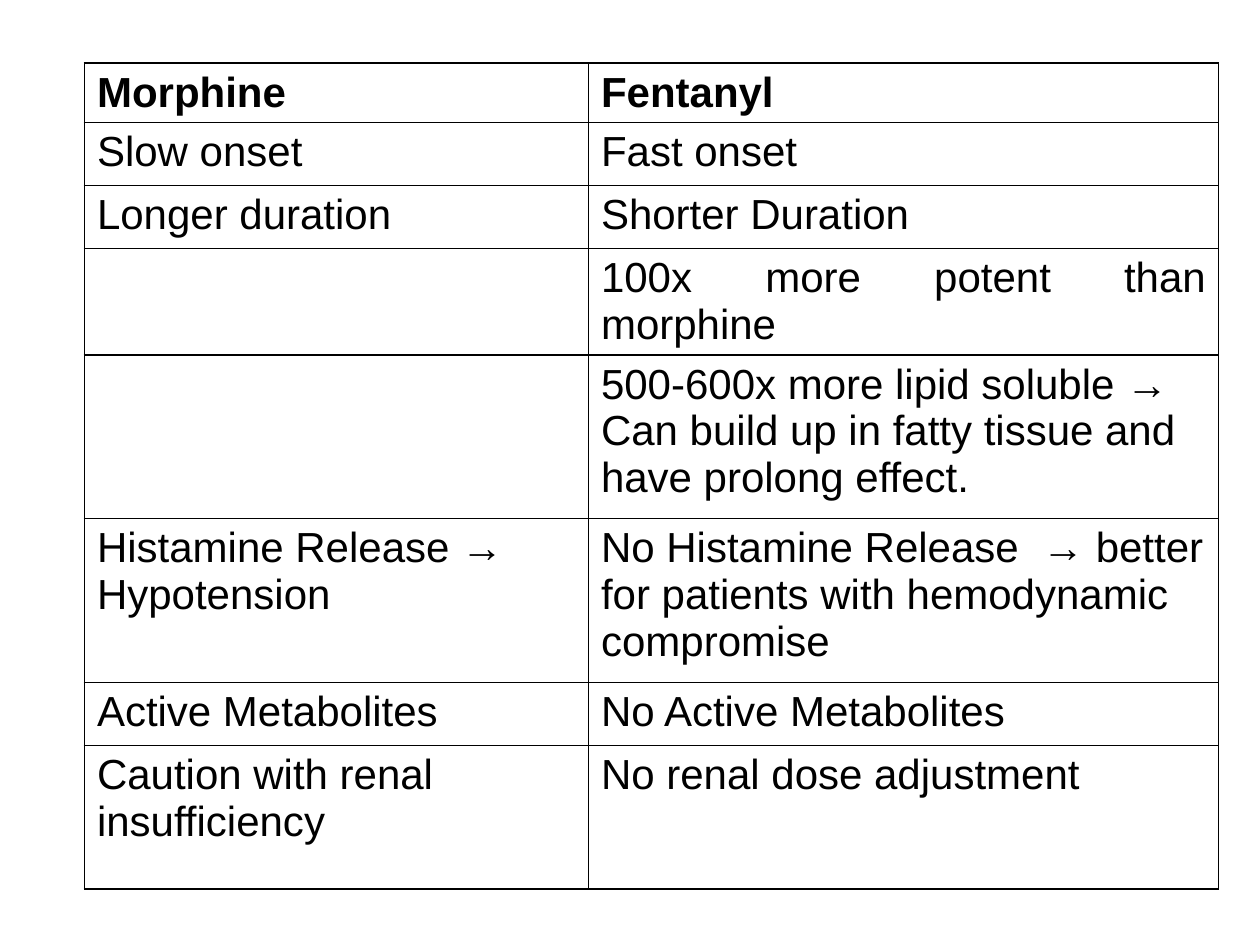
from lxml import etree
from pptx import Presentation
from pptx.dml.color import RGBColor
from pptx.enum import text
from pptx.oxml.ns import qn
from pptx.util import Inches, Pt

COLORS = {"ink": "000000", "paper": "FFFFFF"}
FONT = {"name": "Arial", "size": Pt(24)}
COL_WIDTHS = [4, 5]
ROW_HEIGHTS = [0.25, 0.5, 0.5, 0.5, 1.3, 1.3, 0.5, 1.14]
JUSTIFIED = (3, 1)
ROWS = [
    ("Morphine", "Fentanyl"),
    ("Slow onset", "Fast onset"),
    ("Longer duration", "Shorter Duration"),
    ("", "100x more potent than morphine"),
    ("", "500-600x more lipid soluble → Can build up in fatty tissue "
         "and have prolong effect."),
    ("Histamine Release → Hypotension",
     "No Histamine Release  → better for patients with hemodynamic compromise"),
    ("Active Metabolites", "No Active Metabolites"),
    ("Caution with renal insufficiency", "No renal dose adjustment"),
]


def set_borders(cell, color, width):
    tcPr = cell._tc.get_or_add_tcPr()
    for i, side in enumerate(("lnL", "lnR", "lnT", "lnB")):
        ln = etree.Element(qn(f"a:{side}"), w=str(width))
        fill = etree.SubElement(ln, qn("a:solidFill"))
        etree.SubElement(fill, qn("a:srgbClr"), val=color)
        tcPr.insert(i, ln)  # borders come before the cell fill


def format_cell(cell, value, bold, justified):
    cell.fill.solid()
    cell.fill.fore_color.rgb = RGBColor.from_string(COLORS["paper"])
    set_borders(cell, COLORS["ink"], Pt(1))
    p = cell.text_frame.paragraphs[0]
    if justified:
        p.alignment = text.PP_ALIGN.JUSTIFY
    if value:
        r = p.add_run()
        r.text = value
        for name, setting in {**FONT, "bold": bold}.items():
            setattr(r.font, name, setting)
        r.font.color.rgb = RGBColor.from_string(COLORS["ink"])


def add_drug_table(s, left, top, width, height):
    frame = s.shapes.add_table(len(ROWS), len(COL_WIDTHS), left, top, width, height)
    table = frame.table
    table.horz_banding = False
    for column, w in zip(table.columns, COL_WIDTHS):
        column.width = Inches(w)
    for row, h in zip(table.rows, ROW_HEIGHTS):
        row.height = Inches(h)
    for i, values in enumerate(ROWS):
        for j, value in enumerate(values):
            format_cell(table.cell(i, j), value, i == 0, (i, j) == JUSTIFIED)


def main():
    prs = Presentation()
    prs.slide_width, prs.slide_height = Inches(10), Inches(7.5)
    s = prs.slides.add_slide(prs.slide_layouts[6])
    # Comparison of the two opioids
    add_drug_table(s, Inches(0.67), Inches(0.5), Inches(9), Inches(6.64))
    prs.save("out.pptx")


if __name__ == "__main__":
    main()
